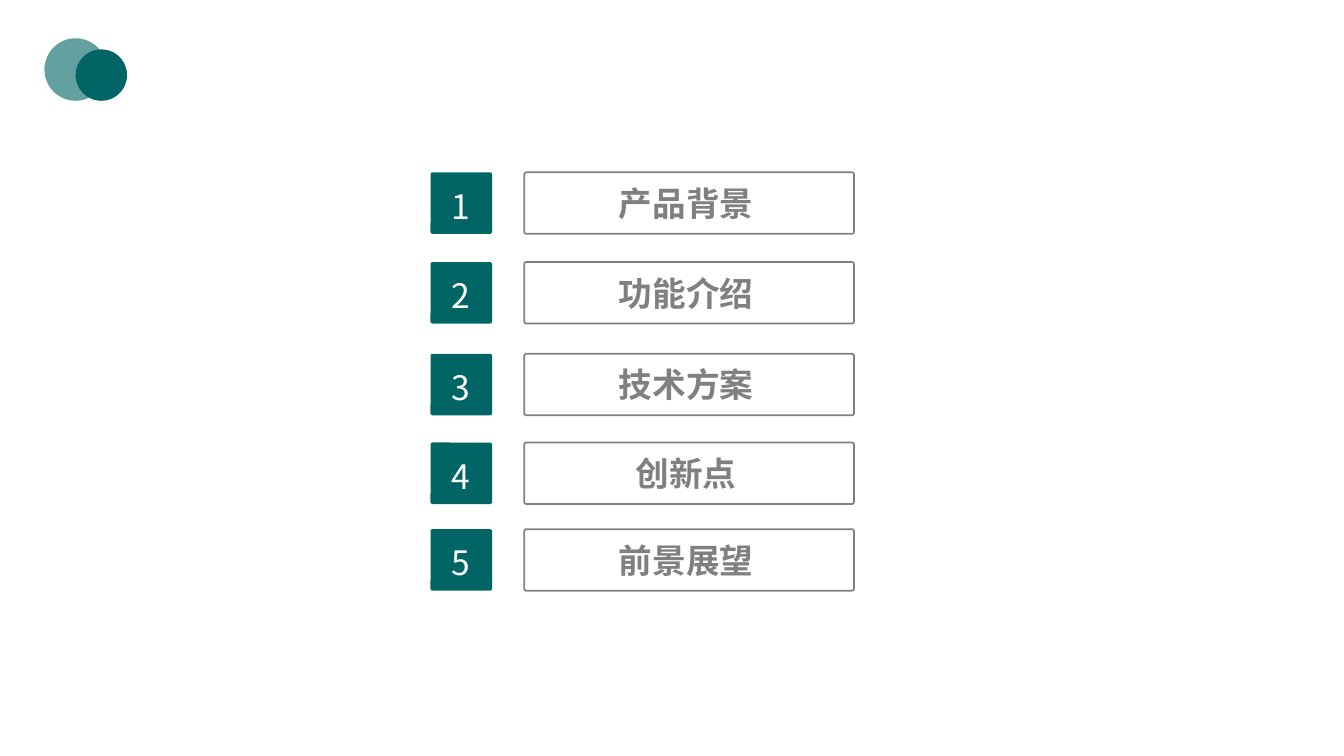
from pptx import Presentation
from pptx.dml.color import RGBColor
from pptx.enum.shapes import MSO_SHAPE
from pptx.enum.text import MSO_ANCHOR, PP_ALIGN
from pptx.oxml.ns import qn
from pptx.util import Inches, Pt
from lxml import etree

ROUNDED, OVAL = MSO_SHAPE.ROUNDED_RECTANGLE, MSO_SHAPE.OVAL
CENTER, MIDDLE = PP_ALIGN.CENTER, MSO_ANCHOR.MIDDLE
FONT = "Noto Sans CJK SC"
TEAL, GRAY, WHITE = "016565", "808080", "FFFFFF"
SIDE, CORNER = 0.61, 0.02
NUMBER_LEFT, LABEL_LEFT, LABEL_WIDTH = 4.27, 5.2, 3.27


def add_shape(kind, left, top, width, height, fill, line=None):
    sp = s.shapes.add_shape(kind, Inches(left), Inches(top), Inches(width), Inches(height))
    sp.shadow.inherit = False
    sp.fill.solid()
    sp.fill.fore_color.rgb = RGBColor.from_string(fill)
    if line:
        sp.line.color.rgb = RGBColor.from_string(line)
        sp.line.width = Pt(1.25)
    else:
        sp.line.fill.background()
    return sp


def add_text(sp, text, color, bold, top_inset, right_inset):
    tf = sp.text_frame
    tf.word_wrap = False
    tf.vertical_anchor = MIDDLE
    tf.margin_left = tf.margin_bottom = 0
    tf.margin_top, tf.margin_right = Inches(top_inset), Inches(right_inset)
    p = tf.paragraphs[0]
    p.alignment = CENTER
    r = p.add_run()
    r.text = text
    r.font.size = Pt(24)
    r.font.bold = bold
    r.font.name = FONT
    r.font.color.rgb = RGBColor.from_string(color)
    etree.SubElement(r.font._element, qn("a:ea"), typeface=FONT)


prs = Presentation()
prs.slide_width, prs.slide_height = Inches(13.33), Inches(7.5)
s = prs.slides.add_slide(prs.slide_layouts[6])

agenda = [
    (1.71, "产品背景"),
    (2.6, "功能介绍"),
    (3.51, "技术方案"),
    (4.39, "创新点"),
    (5.25, "前景展望"),
]
for number, (top, title) in enumerate(agenda, 1):
    label = add_shape(ROUNDED, LABEL_LEFT, top, LABEL_WIDTH, SIDE, WHITE, GRAY)
    add_text(label, title, GRAY, True, 0, 0.06)
    badge = add_shape(ROUNDED, NUMBER_LEFT, top, SIDE, SIDE, TEAL)
    add_text(badge, str(number), WHITE, False, 0.05, 0)
    for sp in (label, badge):
        sp.adjustments[0] = CORNER / SIDE

add_shape(OVAL, 0.75, 0.49, 0.51, 0.51, TEAL)
halo = add_shape(OVAL, 0.44, 0.38, 0.62, 0.62, TEAL)
color = halo.fill._xPr.find(qn("a:solidFill"))[0]
etree.SubElement(color, qn("a:alpha"), val="61000")

prs.save("out.pptx")
